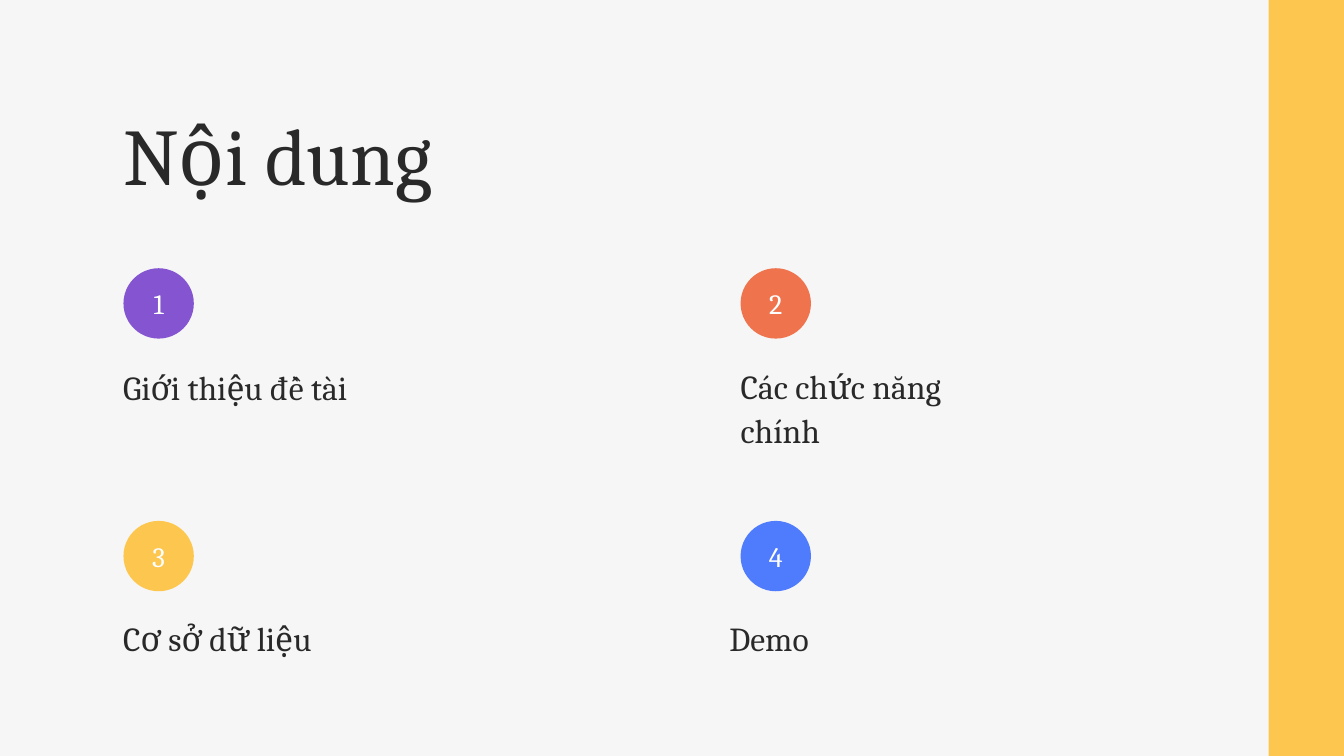
"""Build the table-of-contents slide with four numbered topics."""
from dataclasses import dataclass

import pptx
import pptx.dml.color
import pptx.enum.shapes
import pptx.enum.text
import pptx.slide
import pptx.text.text
import pptx.util

Pt = pptx.util.Pt
ALIGN = pptx.enum.text.PP_ALIGN
ANCHOR = pptx.enum.text.MSO_ANCHOR
SHAPE = pptx.enum.shapes.MSO_SHAPE

COLORS = {
    "background": "F6F6F6",
    "text": "292929",
    "white": "FFFFFF",
    "purple": "8454D1",
    "orange": "EF734C",
    "yellow": "FDC74F",
    "blue": "4F7BFD",
}
FONT = "Cambria"
SLIDE_W, SLIDE_H = 1440, 810
BAR_W = 80.7
LEFT = 132
COLUMNS = (132.3, 793.5)
ROWS = (287.4, 558.1)
BADGE = 75.4
LABEL_W = 300


@dataclass(frozen=True)
class Topic:
    label: str
    color: str
    label_left: float
    label_top: float
    label_height: float = 46


TOPICS = (
    Topic("Giới thiệu đề tài", "purple", LEFT, 389.5),
    Topic("Các chức năng chính", "orange", 793.5, 388.4, 93),
    Topic("Cơ sở dữ liệu", "yellow", LEFT, 658.3),
    Topic("Demo", "blue", 781.5, 658.3),
)


def rgb(name: str) -> pptx.dml.color.RGBColor:
    return pptx.dml.color.RGBColor.from_string(COLORS[name])


def write(tf: pptx.text.text.TextFrame, text: str, size: float, spacing: float,
          color: str = "text", align: ALIGN = ALIGN.LEFT,
          anchor: ANCHOR = ANCHOR.TOP) -> None:
    tf.margin_left = tf.margin_top = tf.margin_right = tf.margin_bottom = 0
    tf.word_wrap = True
    tf.auto_size = pptx.enum.text.MSO_AUTO_SIZE.NONE
    tf.vertical_anchor = anchor
    p = tf.paragraphs[0]
    p.text = text
    p.alignment = align
    p.line_spacing = Pt(spacing)
    p.space_before = Pt(0)
    p.font.name = FONT
    p.font.size = Pt(size)
    p.font.color.rgb = rgb(color)


def add_filled(s: pptx.slide.Slide, kind: SHAPE, left: float, top: float,
               width: float, height: float, color: str):
    sp = s.shapes.add_shape(kind, Pt(left), Pt(top), Pt(width), Pt(height))
    sp.shadow.inherit = False
    sp.fill.solid()
    sp.fill.fore_color.rgb = rgb(color)
    sp.line.fill.background()
    return sp


def add_title(s: pptx.slide.Slide, text: str) -> None:
    sp = s.shapes.title
    sp.left, sp.top, sp.width, sp.height = Pt(LEFT), Pt(113), Pt(721.5), Pt(103.7)
    write(sp.text_frame, text, 86, 103.2)


def add_topic(s: pptx.slide.Slide, index: int, topic: Topic) -> None:
    row, column = divmod(index, len(COLUMNS))
    badge = add_filled(s, SHAPE.OVAL, COLUMNS[column], ROWS[row],
                       BADGE, BADGE, topic.color)
    write(badge.text_frame, str(index + 1), 30, 36, "white",
          ALIGN.CENTER, ANCHOR.MIDDLE)
    label = s.shapes.add_textbox(Pt(topic.label_left), Pt(topic.label_top),
                                 Pt(LABEL_W), Pt(topic.label_height))
    write(label.text_frame, topic.label, 36, 46.8)


def main() -> None:
    prs = pptx.Presentation()
    prs.slide_width, prs.slide_height = Pt(SLIDE_W), Pt(SLIDE_H)
    s = prs.slides.add_slide(prs.slide_layouts.get_by_name("Title Only"))
    s.background.fill.solid()
    s.background.fill.fore_color.rgb = rgb("background")
    add_filled(s, SHAPE.RECTANGLE, SLIDE_W - BAR_W, 0, BAR_W, SLIDE_H, "yellow")
    add_title(s, "Nội dung")
    for index, topic in enumerate(TOPICS):
        add_topic(s, index, topic)
    prs.save("out.pptx")


if __name__ == "__main__":
    main()
